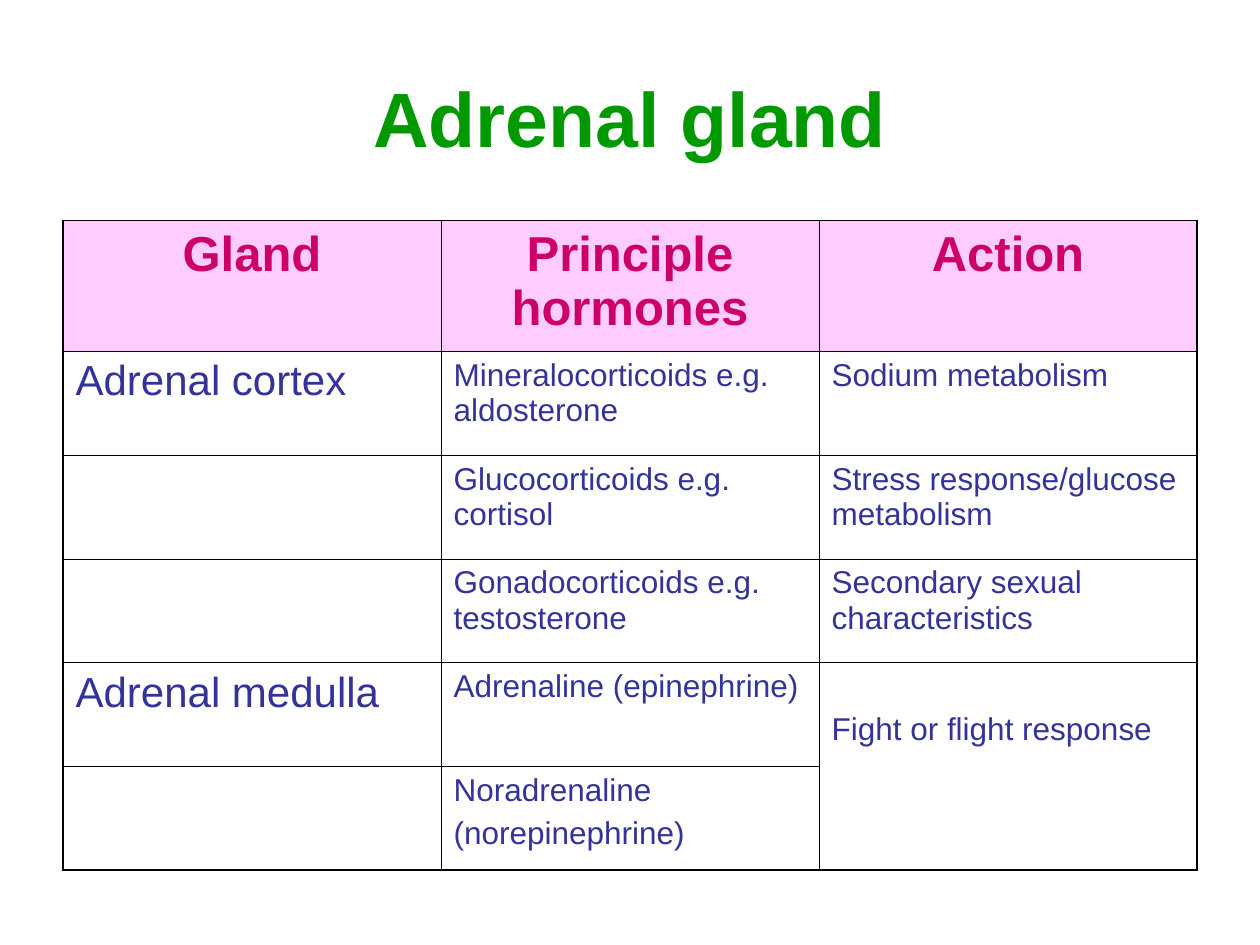
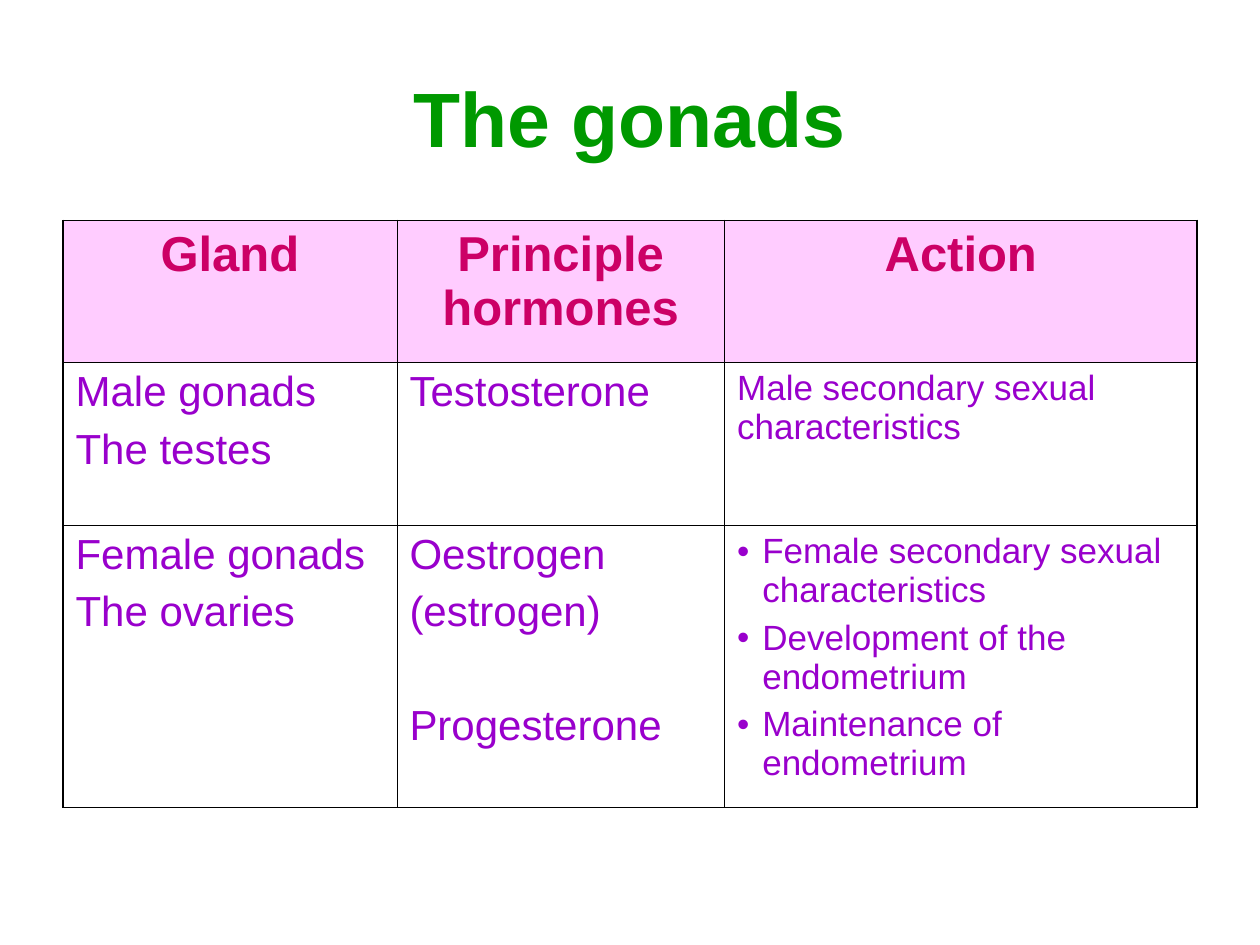
"""Build two slides that tabulate the hormones of the adrenal gland and the gonads."""
from lxml.etree import SubElement
from pptx import Presentation
from pptx.dml.color import RGBColor
from pptx.enum.text import MSO_ANCHOR, MSO_AUTO_SIZE, PP_ALIGN
from pptx.oxml.ns import qn
from pptx.util import Pt

FONT = "Arial"
GREEN = RGBColor(0x00, 0x99, 0x00)
CRIMSON = RGBColor(0xCC, 0x00, 0x66)
PINK = RGBColor(0xFF, 0xCC, 0xFF)
INDIGO = RGBColor(0x33, 0x33, 0x99)
PURPLE = RGBColor(0x99, 0x00, 0xCC)
BLACK = RGBColor(0x00, 0x00, 0x00)

SLIDE_WIDTH, SLIDE_HEIGHT = 720, 540
MARGIN = 36
CONTENT_WIDTH = SLIDE_WIDTH - 2 * MARGIN
TITLE_TOP, TITLE_HEIGHT, TITLE_SIZE = 21.6, 90, 44
TABLE_TOP = 126
HEADER_SIZE = 28
OUTER_LINE, INNER_LINE = 1.08, 0.45
BULLET_INDENT = 14.4
SPACE_RATIO = 0.25

HEADERS = [("Gland",), ("Principle hormones",), ("Action",)]

ADRENAL = {
    "title": "Adrenal gland",
    "colour": INDIGO,
    "columns": [216, 216, 216],
    "sizes": [24, 18, 18],
    "heights": [74.9] + [59.3] * 5,
    "rows": [
        [("Adrenal cortex",), ("Mineralocorticoids e.g. aldosterone",), ("Sodium metabolism",)],
        [(), ("Glucocorticoids e.g. cortisol",), ("Stress response/glucose metabolism",)],
        [(), ("Gonadocorticoids e.g. testosterone",), ("Secondary sexual characteristics",)],
        [("Adrenal medulla",), ("Adrenaline (epinephrine)",), ("Fight or flight response",)],
        [(), ("Noradrenaline", "(norepinephrine)"), ()],
    ],
    "merge": ((4, 2), (5, 2)),
    "top_margins": {(4, 2): 28},
}

GONADS = {
    "title": "The gonads",
    "colour": PURPLE,
    "columns": [190.8, 187.2, 270],
    "sizes": [24, 24, 20],
    "heights": [81.2, 93, 161.2],
    "rows": [
        [("Male gonads", "The testes"), ("Testosterone",), ("Male secondary sexual characteristics",)],
        [
            ("Female gonads", "The ovaries"),
            ("Oestrogen", "(estrogen)", "Progesterone"),
            (
                "Female secondary sexual characteristics",
                "Development of the endometrium",
                "Maintenance of endometrium",
            ),
        ],
    ],
    "bulleted": {(2, 2)},
    "spaces": {"Progesterone": 38},
}


def add_run(paragraph, text, size, colour, bold):
    run = paragraph.add_run()
    run.text = text
    run.font.name = FONT
    run.font.size = Pt(size)
    run.font.bold = bold
    run.font.color.rgb = colour


def add_bullet(paragraph):
    properties = paragraph._p.get_or_add_pPr()
    properties.set("marL", str(Pt(BULLET_INDENT)))
    properties.set("indent", str(-Pt(BULLET_INDENT)))
    SubElement(properties, qn("a:buFont"), typeface=FONT)
    SubElement(properties, qn("a:buChar"), char="•")


def set_borders(cell, widths):
    properties = cell._tc.get_or_add_tcPr()
    for side, width in zip("LRTB", widths):
        line = SubElement(properties, qn(f"a:ln{side}"), w=str(Pt(width)))
        fill = SubElement(line, qn("a:solidFill"))
        SubElement(fill, qn("a:srgbClr"), val=str(BLACK))


def write_lines(cell, lines, size, colour, header, bulleted, spaces):
    frame = cell.text_frame
    for index, line in enumerate(lines):
        paragraph = frame.add_paragraph() if index else frame.paragraphs[0]
        if bulleted:
            add_bullet(paragraph)
        paragraph.alignment = PP_ALIGN.CENTER if header else PP_ALIGN.LEFT
        if index:
            paragraph.space_before = Pt(spaces.get(line, size * SPACE_RATIO))
        add_run(paragraph, line, size, colour, header)


def add_title(slide, text):
    title = slide.shapes.title
    title.left, title.top = Pt(MARGIN), Pt(TITLE_TOP)
    title.width, title.height = Pt(CONTENT_WIDTH), Pt(TITLE_HEIGHT)
    frame = title.text_frame
    frame.auto_size = MSO_AUTO_SIZE.NONE
    frame.vertical_anchor = MSO_ANCHOR.MIDDLE
    paragraph = frame.paragraphs[0]
    paragraph.alignment = PP_ALIGN.CENTER
    add_run(paragraph, text, TITLE_SIZE, GREEN, True)


def add_hormone_table(slide, content):
    rows = [HEADERS] + content["rows"]
    last_row, last_column = len(rows) - 1, len(HEADERS) - 1
    table = slide.shapes.add_table(
        len(rows), len(HEADERS), Pt(MARGIN), Pt(TABLE_TOP),
        Pt(CONTENT_WIDTH), Pt(sum(content["heights"])),
    ).table
    table.first_row = table.horz_banding = False
    for column, width in zip(table.columns, content["columns"]):
        column.width = Pt(width)
    for row, height in zip(table.rows, content["heights"]):
        row.height = Pt(height)
    if "merge" in content:
        first, last = content["merge"]
        table.cell(*first).merge(table.cell(*last))

    for r, row in enumerate(rows):
        for c, lines in enumerate(row):
            cell, header = table.cell(r, c), r == 0
            bottom = r + cell.span_height - 1 if cell.is_merge_origin else r
            on_edge = (c == 0, c == last_column, header, bottom == last_row)
            set_borders(cell, [OUTER_LINE if edge else INNER_LINE for edge in on_edge])
            if header:
                cell.fill.solid()
                cell.fill.fore_color.rgb = PINK
            else:
                cell.fill.background()
            if (r, c) in content.get("top_margins", {}):
                cell.margin_top = Pt(content["top_margins"][r, c])
            write_lines(
                cell, lines,
                HEADER_SIZE if header else content["sizes"][c],
                CRIMSON if header else content["colour"],
                header,
                (r, c) in content.get("bulleted", ()),
                content.get("spaces", {}),
            )


def main():
    presentation = Presentation()
    presentation.slide_width, presentation.slide_height = Pt(SLIDE_WIDTH), Pt(SLIDE_HEIGHT)
    title_only = presentation.slide_layouts.get_by_name("Title Only")
    for content in (ADRENAL, GONADS):
        slide = presentation.slides.add_slide(title_only)
        add_title(slide, content["title"])
        add_hormone_table(slide, content)
    presentation.save("out.pptx")


if __name__ == "__main__":
    main()
